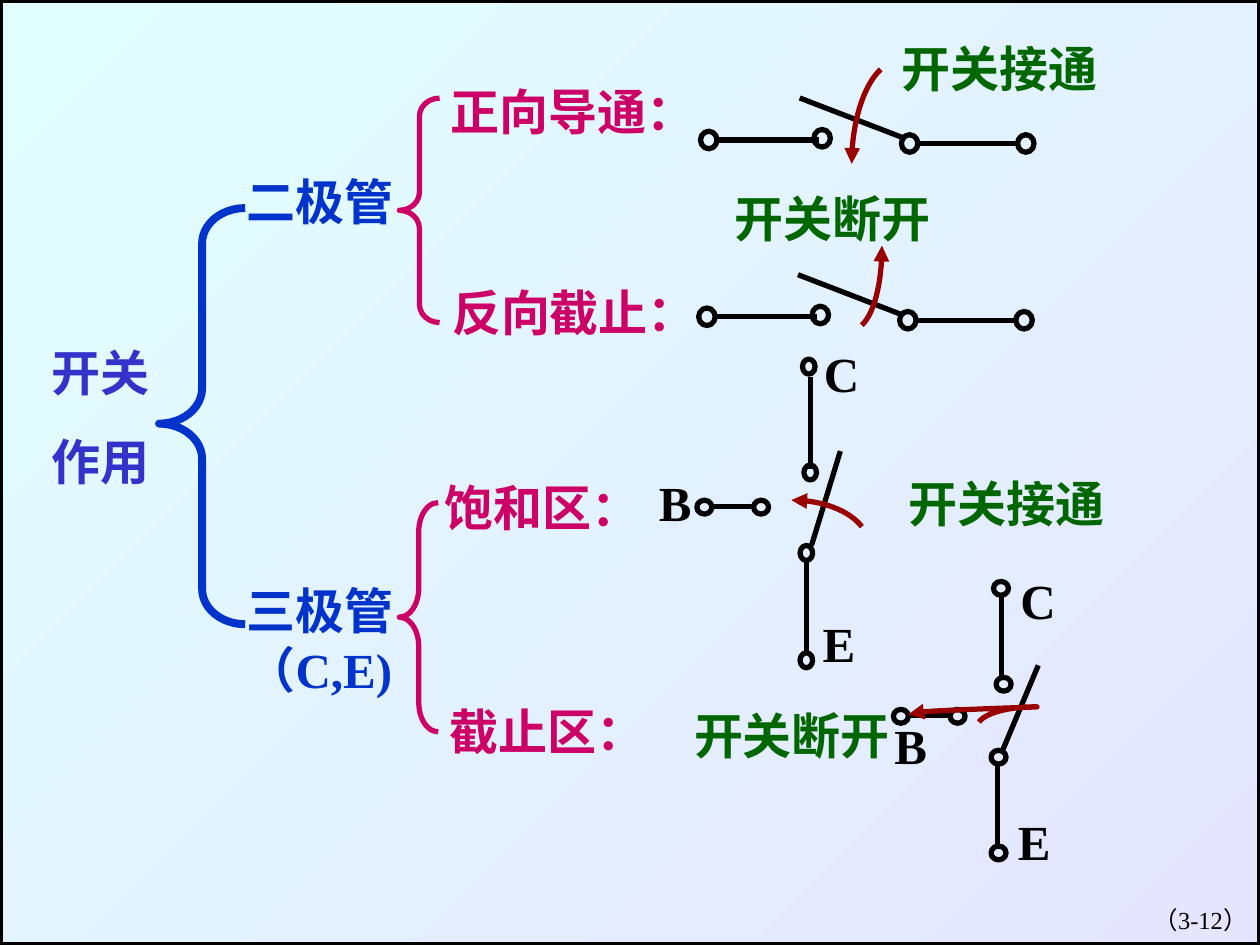
"""Build the slide on the switching action of diodes and transistors."""
import pptx
import pptx.dml.color
import pptx.enum.shapes
import pptx.enum.text
import pptx.oxml
import pptx.oxml.ns
import pptx.util
from lxml import etree

Pt = pptx.util.Pt
RGBColor = pptx.dml.color.RGBColor
MSO_SHAPE = pptx.enum.shapes.MSO_SHAPE
PP_ALIGN = pptx.enum.text.PP_ALIGN
qn = pptx.oxml.ns.qn

BLACK = RGBColor(0x00, 0x00, 0x00)
BLUE = RGBColor(0x00, 0x33, 0xCC)
INDIGO = RGBColor(0x33, 0x33, 0xCC)
PINK = RGBColor(0xCC, 0x00, 0x66)
GREEN = RGBColor(0x00, 0x66, 0x00)
RED = RGBColor(0x99, 0x00, 0x00)
PALE_CYAN = RGBColor(0xE1, 0xFF, 0xFF)
PALE_VIOLET = RGBColor(0xE5, 0xE5, 0xFF)

prs = pptx.Presentation()
prs.slide_width = Pt(720)
prs.slide_height = Pt(540)
slide = prs.slides.add_slide(prs.slide_layouts[6])
shapes = slide.shapes


def add_text(text, x, y, w, h=41, color=BLACK, size=28, bold=True, before=17.5, align=PP_ALIGN.LEFT):
    """Add a text box with one paragraph per line of text."""
    tf = shapes.add_textbox(Pt(x), Pt(y), Pt(w), Pt(h)).text_frame
    tf.word_wrap = True
    for i, line in enumerate(text.split("\n")):
        p = tf.paragraphs[0] if i == 0 else tf.add_paragraph()
        p.alignment = align
        p.space_before = Pt(before)
        r = p.add_run()
        r.text = line
        r.font.name = "Times New Roman"
        r.font.size = Pt(size)
        r.font.bold = bold
        r.font.color.rgb = color


def set_outline(s, color=BLACK, width=3):
    """Give a shape or connector a plain outline without shadow."""
    s.line.color.rgb = color
    s.line.width = Pt(width)
    etree.SubElement(s.element.spPr, qn("a:effectLst"))


background = shapes.add_shape(MSO_SHAPE.RECTANGLE, 0, 0, Pt(720), Pt(540))
background.fill.gradient()
background.fill.gradient_angle = 315
for stop, color in zip(background.fill.gradient_stops, (PALE_CYAN, PALE_VIOLET)):
    stop.color.rgb = color
set_outline(background)

braces = [
    (90.9, 118.9, 49.2, 237.8, 0.41, 0.518, BLUE, 4.5),
    (228.2, 56.1, 23, 128.2, 0.45, 0.5, PINK, 3),
    (228.2, 287.2, 22.2, 131, 0.75, 0.5, PINK, 3),
]
for x, y, w, h, curl, middle, color, width in braces:
    brace = shapes.add_shape(MSO_SHAPE.LEFT_BRACE, Pt(x), Pt(y), Pt(w), Pt(h))
    brace.adjustments[0] = curl
    brace.adjustments[1] = middle
    brace.fill.background()
    set_outline(brace, color, width)

wires = [
    (463, 215.3, 463, 267.8), (460.8, 319.7, 460.8, 374.4), (480.2, 257.8, 463.7, 311.8),
    (408.2, 289.4, 432, 289.4),
    (572.4, 341.3, 572.4, 388.8), (570.2, 435.6, 570.2, 485.3), (593.3, 380.2, 573.1, 428.4),
    (519.8, 409, 543.6, 409),
]
contacts = [
    (463, 270, 7.2, 8.6), (462.2, 209.5, 7.2, 8.6), (460.8, 377.3, 7.2, 8.6), (460.8, 316, 7.2, 8.6),
    (402.5, 289.8, 8.6, 7.9), (434.9, 289.8, 8.6, 7.9),
    (573.5, 391, 8.6, 7.9), (572, 336.2, 8.6, 7.9), (570.6, 487.4, 8.6, 7.9), (570.6, 432.7, 8.6, 7.9),
    (514.8, 409.3, 8.6, 7.9), (547.2, 409.3, 8.6, 7.9),
]
for dx, dy in ((0, 0), (-1, 101)):
    for x1, y1, x2, y2 in ((411, 80, 468, 80), (523.5, 82, 583, 82), (457, 56, 515.5, 78.5)):
        wires.append((x1 + dx, y1 + dy, x2 + dx, y2 + dy))
    for x, y in ((405, 80), (469.8, 79), (519.8, 82), (586.2, 82)):
        contacts.append((x + dx, y + dy, 9.4, 10))

for x1, y1, x2, y2 in wires:
    wire = shapes.add_connector(pptx.enum.shapes.MSO_CONNECTOR.STRAIGHT, Pt(x1), Pt(y1), Pt(x2), Pt(y2))
    set_outline(wire)
for x, y, w, h in contacts:
    contact = shapes.add_shape(MSO_SHAPE.OVAL, Pt(x - w / 2), Pt(y - h / 2), Pt(w), Pt(h))
    contact.fill.background()
    set_outline(contact)

STEPS = 16
arrows = [
    [(503.3, 39.6), (493.2, 49), (486.7, 70.6), (486.7, 93.6)],
    [(492.5, 185.8), (499, 180), (504, 163.4), (504, 140.4)],
    [(492.5, 301), (485.3, 291.6), (469.4, 285.8), (452.2, 285.8)],
    [(559.4, 412.6), (563, 407.5), (576, 403.9), (591.8, 403.9),
     (601.9, 403.9), (512.6, 406.1), (519.1, 408.2)],
]
for controls in arrows:
    points = []
    for start in range(0, len(controls) - 1, 3):
        a, b, c, d = controls[start:start + 4]
        for step in range(1, STEPS + 1):
            t = step / STEPS
            u = 1 - t
            points.append(tuple(
                Pt(u**3 * a[k] + 3 * u * u * t * b[k] + 3 * u * t * t * c[k] + t**3 * d[k])
                for k in (0, 1)))
    builder = shapes.build_freeform(Pt(controls[0][0]), Pt(controls[0][1]), scale=1.0)
    builder.add_line_segments(points, close=False)
    arrow = builder.convert_to_shape()
    arrow.fill.background()
    set_outline(arrow, RED)
    etree.SubElement(arrow.line._get_or_add_ln(), qn("a:tailEnd"), type="triangle")

add_text("开关\n作用", 22.3, 192.2, 84.2, 92, color=INDIGO)
add_text("二极管", 133.9, 94.3, 113.8, color=BLUE)
add_text("三极管（C,E)", 133.9, 328.3, 113.8, 75, color=BLUE)
for text, x, y, w in (
    ("正向导通：", 250.4, 43, 200), ("反向截止：", 251.3, 157.7, 165.6),
    ("饱和区：", 247, 269.4, 168.5), ("截止区：", 249.8, 397.4, 169.2),
):
    add_text(text, x, y, w, color=PINK)
for text, x, y, w in (
    ("开关接通", 508.3, 18.7, 160.6), ("开关断开", 412.6, 104.4, 157),
    ("开关接通", 511.9, 267.1, 147.6), ("开关断开", 389.5, 399.6, 143.3),
):
    add_text(text, x, y, w, color=GREEN)
for text, x, y in (
    ("C", 463.7, 193), ("E", 463, 347), ("B", 369.4, 266.4),
    ("C", 576, 322.6), ("E", 574.6, 460.1), ("B", 504, 405.4),
):
    add_text(text, x, y, 45)
add_text("（3-12）", 570.2, 513.4, 149.8, 36, size=14, bold=False, before=0, align=PP_ALIGN.RIGHT)

prs.save("out.pptx")
